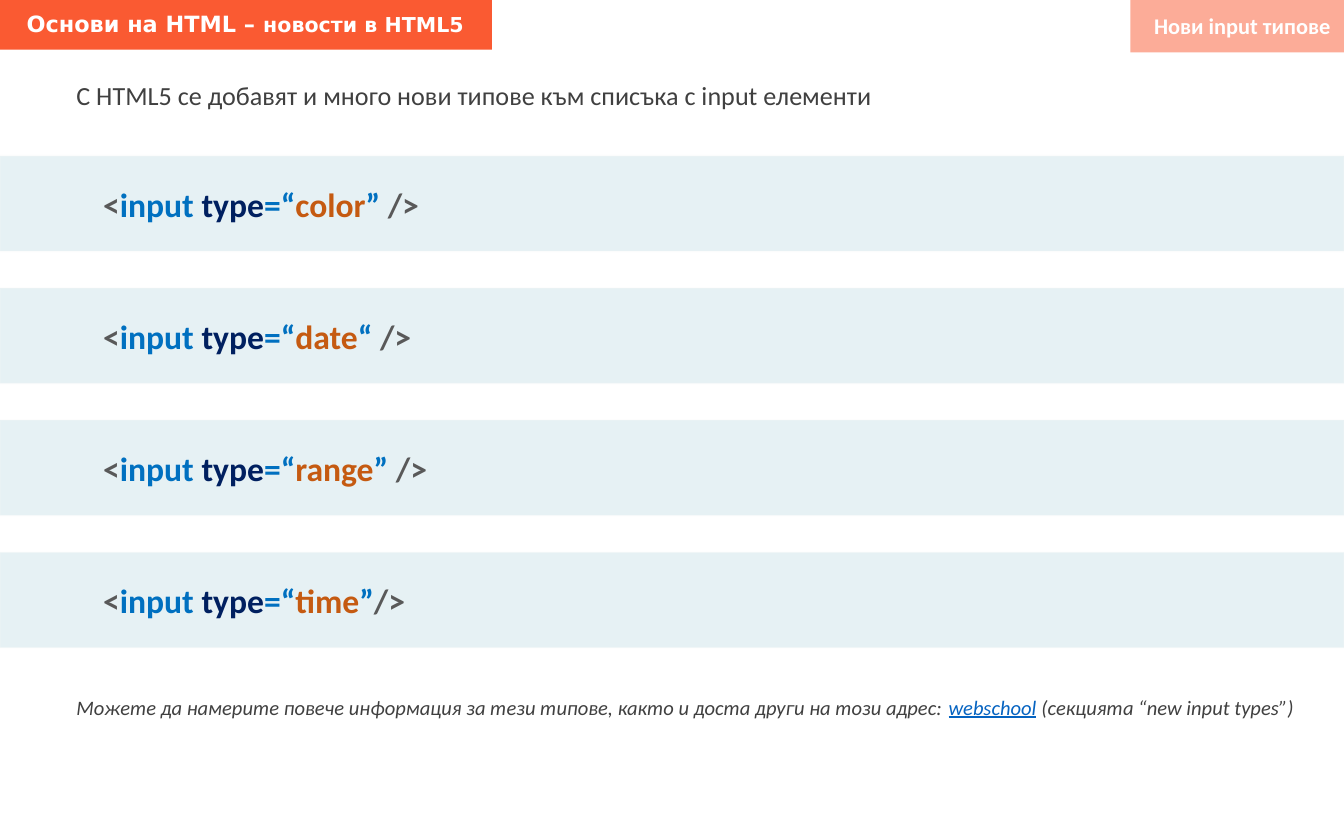
from lxml import etree
from pptx import Presentation
from pptx import util as u
from pptx.dml.color import RGBColor
from pptx.enum import shapes, text
from pptx.oxml.ns import qn

COLORS = {
    "orange": "FA5A32", "teal": "127994", "edge": "F8F8F8", "white": "FFFFFF",
    "body": "404040", "bracket": "595959", "tag": "0070C0",
    "attribute": "002060", "value": "C55A11", "link": "0563C1",
}


class SlideBuilder:
    def __init__(self, slide, font="Calibri"):
        self.slide = slide
        self.font = font

    def paint(self, fill, color, opacity):
        """Make a fill solid, with opacity in percent."""
        fill.solid()
        fill.fore_color.rgb = RGBColor.from_string(COLORS[color])
        if opacity < 100:
            # The colour element is the only one of its kind in the fill.
            solid = fill._xPr.find(qn("a:solidFill"))
            alpha = etree.SubElement(solid[0], qn("a:alpha"))
            alpha.set("val", str(opacity * 1000))

    def bar(self, left, top, width, height, color, opacity=100, edge=None):
        block = self.slide.shapes.add_shape(
            shapes.MSO_SHAPE.RECTANGLE,
            u.Inches(left), u.Inches(top), u.Inches(width), u.Inches(height))
        block.shadow.inherit = False
        self.paint(block.fill, color, opacity)
        if edge:
            block.line.width = u.Pt(1)
            self.paint(block.line.fill, edge, 16)
        else:
            block.line.fill.background()

    def label(self, left, top, width, height, parts, size, font=None,
              bold=False, italic=False, align=text.PP_ALIGN.LEFT):
        """Write one line; each part is (words, colour, optional run font settings)."""
        box = self.slide.shapes.add_textbox(
            u.Inches(left), u.Inches(top), u.Inches(width), u.Inches(height))
        box.text_frame.word_wrap = True
        line = box.text_frame.paragraphs[0]
        line.alignment = align
        for words, color, *settings in parts:
            run = line.add_run()
            run.text = words
            run.font.name = font or self.font
            run.font.size = u.Pt(size)
            run.font.bold = bold
            run.font.italic = italic
            run.font.color.rgb = RGBColor.from_string(COLORS[color])
            for setting, value in (settings[0] if settings else {}).items():
                setattr(run.font, setting, value)

    def input_example(self, top, value, closing_quote):
        self.bar(0, top, 10, 0.71, "teal", opacity=10, edge="edge")
        self.label(0.67, top + 0.16, 3, 0.4, [
            ("<", "bracket"), ("input ", "tag"), ("type", "attribute"),
            ("=“", "tag"), (value, "value"), (closing_quote, "tag"),
            ("/>", "bracket"),
        ], 18, bold=True)


def main():
    deck = Presentation()
    deck.slide_width, deck.slide_height = u.Inches(10), u.Inches(6.25)
    builder = SlideBuilder(deck.slides.add_slide(deck.slide_layouts[6]))

    builder.label(0.47, 0.54, 9.06, 0.34, [
        ("С HTML5 се добавят и много нови типове към списъка с input елементи",
         "body")], 14)

    builder.bar(0, -0.02, 3.66, 0.39, "orange")
    builder.label(0.1, 0.03, 3.8, 0.3, [
        ("Основи на HTML – ", "white"),
        ("новости в HTML5", "white", {"size": u.Pt(11)}),
    ], 12, font="DejaVu Sans", bold=True)

    builder.bar(8.41, 0, 1.59, 0.39, "orange", opacity=50)
    builder.label(8.4, 0.04, 1.6, 0.3, [("Нови input типове", "white")], 12,
                  bold=True, align=text.PP_ALIGN.RIGHT)

    first_top, pitch = 1.16, 0.983
    examples = [("color", "” "), ("date", "“ "), ("range", "” "), ("time", "”")]
    for row, (value, closing_quote) in enumerate(examples):
        builder.input_example(first_top + row * pitch, value, closing_quote)

    builder.label(0.47, 5.12, 9.4, 0.29, [
        ("Можете да намерите повече информация за тези типове, "
         "както и доста други на този адрес: ", "body"),
        ("webschool", "link", {"underline": True}),
        (" (секцията “new input types”)", "body"),
    ], 11, italic=True)

    deck.save("out.pptx")


if __name__ == "__main__":
    main()
